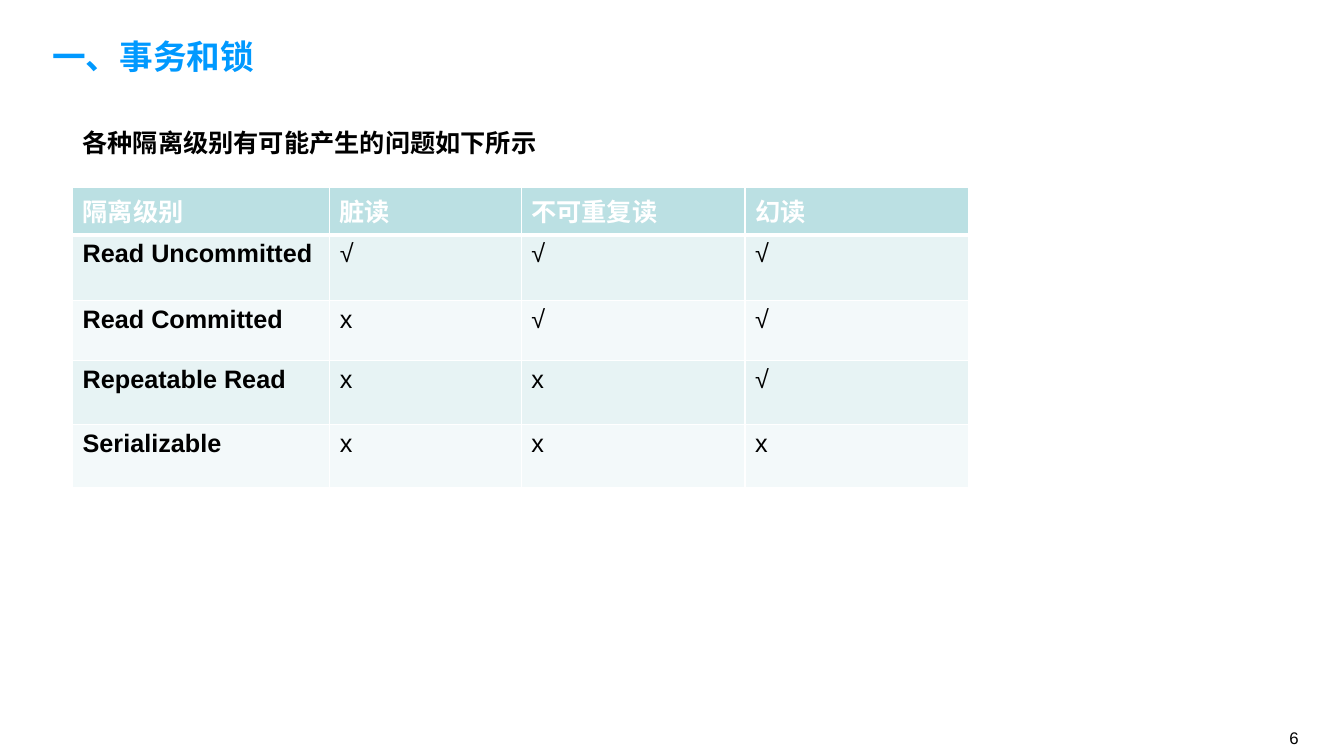
from dataclasses import dataclass

from lxml import etree
from pptx import Presentation
from pptx.dml.color import RGBColor
from pptx.enum.text import MSO_ANCHOR
from pptx.oxml.ns import qn
from pptx.util import Emu, Pt

TOP, MIDDLE = MSO_ANCHOR.TOP, MSO_ANCHOR.MIDDLE
PX = 9144  # 100 px to the inch
BLANK_LAYOUT = 6


@dataclass(frozen=True)
class Theme:
    latin: str = "Arial"
    chinese: str = "Noto Sans CJK SC"
    title: str = "0099FF"
    ink: str = "000000"
    white: str = "FFFFFF"
    header: str = "BBE0E3"
    bands: tuple = ("E7F3F4", "F3F9FA")
    title_size: int = 24
    body_size: int = 18
    number_size: int = 12
    thin: int = 1
    thick: int = 3


class SlideBuilder:
    def __init__(self, page, theme):
        self.page = page
        self.theme = theme

    def style(self, frame, size, color, bold, latin=None):
        for para in frame.paragraphs:
            for span in para.runs:
                font = span.font
                font.size, font.bold = Pt(size), bold
                font.name = latin or self.theme.latin
                font.color.rgb = RGBColor.from_string(color)
                east_asian = etree.Element(qn("a:ea"), typeface=self.theme.chinese)
                font._element.find(qn("a:latin")).addnext(east_asian)

    def text(self, text, bounds, size, color, bold=False, latin=None,
             anchor=TOP, wrap=True):
        box = self.page.shapes.add_textbox(*(Emu(n * PX) for n in bounds))
        frame = box.text_frame
        frame.word_wrap, frame.vertical_anchor = wrap, anchor
        frame.text = text
        self.style(frame, size, color, bold, latin)

    def borders(self, cell, top, bottom):
        """Draw white cell edges; top and bottom are widths in points."""
        thin = self.theme.thin
        edges = (("L", thin), ("R", thin), ("T", top), ("B", bottom))
        properties = cell._tc.get_or_add_tcPr()
        for index, (side, width) in enumerate(edges):
            line = etree.Element(qn(f"a:ln{side}"), w=str(Pt(width)))
            fill = etree.SubElement(line, qn("a:solidFill"))
            etree.SubElement(fill, qn("a:srgbClr"), val=self.theme.white)
            properties.insert(index, line)

    def table(self, rows, left, top, widths, heights):
        theme = self.theme
        bounds = (left, top, sum(widths), sum(heights))
        table = self.page.shapes.add_table(
            len(rows), len(widths), *(Emu(n * PX) for n in bounds)).table
        for column, width in zip(table.columns, widths):
            column.width = Emu(width * PX)
        for r, (values, height) in enumerate(zip(rows, heights)):
            table.rows[r].height = Emu(height * PX)
            is_header = r == 0
            fill = theme.header if is_header else theme.bands[(r - 1) % 2]
            color = theme.white if is_header else theme.ink
            for c, value in enumerate(values):
                cell = table.cell(r, c)
                cell.text_frame.text = value
                self.style(cell.text_frame, theme.body_size, color,
                           is_header or c == 0)
                cell.fill.solid()
                cell.fill.fore_color.rgb = RGBColor.from_string(fill)
                self.borders(cell, theme.thick if r == 1 else theme.thin,
                             theme.thick if is_header else theme.thin)


ISOLATION_LEVELS = [
    ("隔离级别", "脏读", "不可重复读", "幻读"),
    ("Read Uncommitted", "√", "√", "√"),
    ("Read Committed", "х", "√", "√"),
    ("Repeatable Read", "х", "х", "√"),
    ("Serializable", "х", "х", "х"),
]


def main():
    deck = Presentation()
    deck.slide_width, deck.slide_height = Emu(1333 * PX), Emu(750 * PX)
    page = deck.slides.add_slide(deck.slide_layouts[BLANK_LAYOUT])
    theme = Theme()
    builder = SlideBuilder(page, theme)

    builder.text("6", (1269, 717, 43, 16), theme.number_size, theme.ink)
    builder.text("一、事务和锁", (42, 22, 843, 67), theme.title_size, theme.title,
                 bold=True, latin=theme.chinese, anchor=MIDDLE)
    builder.text("各种隔离级别有可能产生的问题如下所示", (72, 121, 475, 40),
                 theme.body_size, theme.ink, bold=True, wrap=False)
    builder.table(ISOLATION_LEVELS, 72, 186, widths=(255, 190, 222, 222),
                  heights=(47, 65, 60, 63, 63))
    deck.save("out.pptx")


if __name__ == "__main__":
    main()
